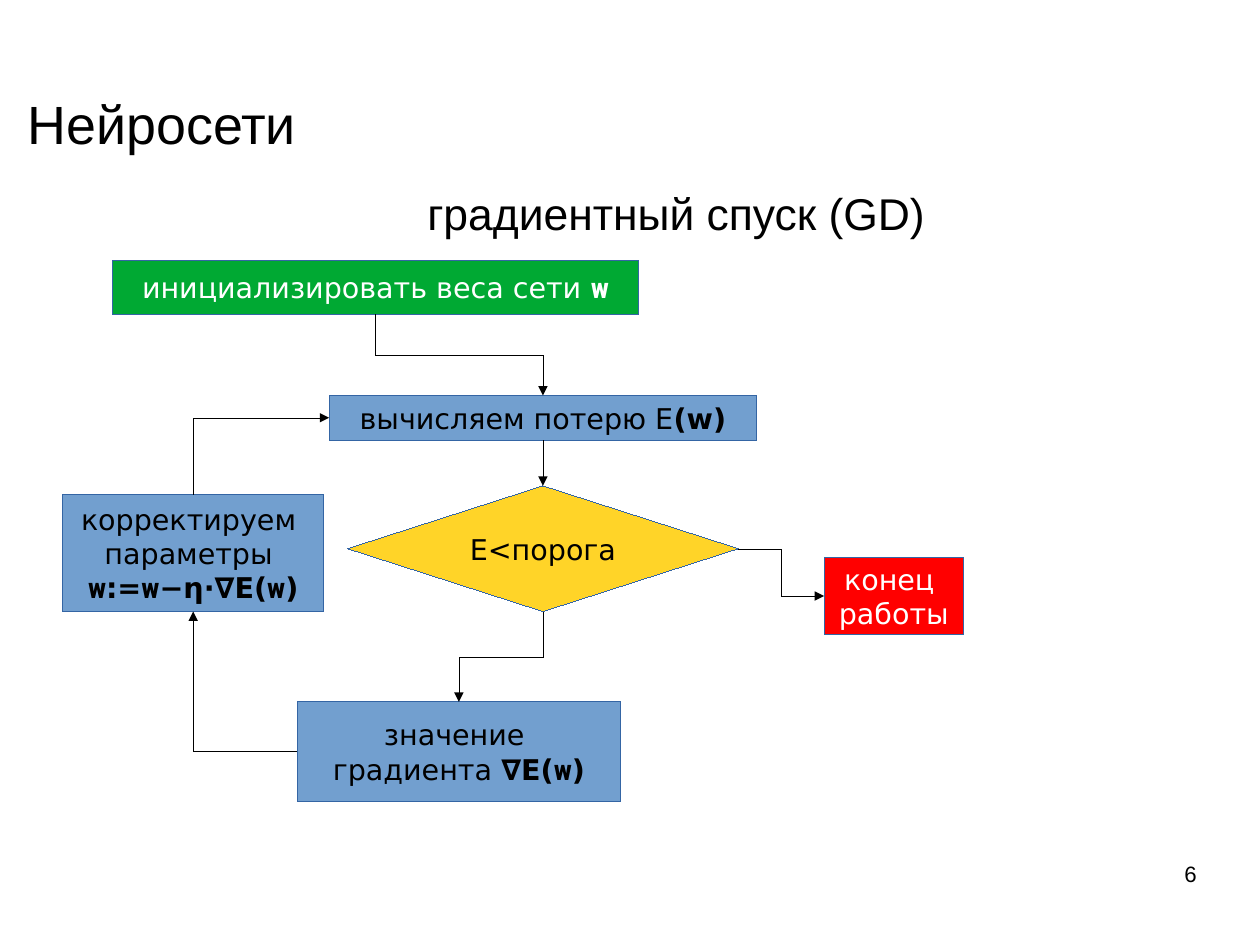
from dataclasses import dataclass

from lxml import etree
from pptx import Presentation
from pptx.dml.color import RGBColor
from pptx.enum.shapes import MSO_CONNECTOR, MSO_SHAPE
from pptx.enum.text import MSO_ANCHOR, PP_ALIGN
from pptx.oxml.ns import qn
from pptx.shapes.autoshape import Shape
from pptx.shapes.connector import Connector
from pptx.slide import Slide
from pptx.text.text import _Paragraph
from pptx.util import Inches, Pt

RECT, DIAMOND = MSO_SHAPE.RECTANGLE, MSO_SHAPE.DIAMOND
ELBOW, STRAIGHT = MSO_CONNECTOR.ELBOW, MSO_CONNECTOR.STRAIGHT
TOP_ANCHOR, MIDDLE = MSO_ANCHOR.TOP, MSO_ANCHOR.MIDDLE
LEFT_ALIGN, CENTER, RIGHT_ALIGN = PP_ALIGN.LEFT, PP_ALIGN.CENTER, PP_ALIGN.RIGHT
TOP, LEFT, BOTTOM, RIGHT = range(4)
TURN = {RIGHT: 0, BOTTOM: 90, LEFT: 180, TOP: 270}
CM_PER_INCH = 2.54
BLACK, WHITE, BLUE, OUTLINE = "000000", "FFFFFF", "729FCF", "3465A4"
BODY, NARROW, HEADING = "DejaVu Sans", "Roboto Condensed", "Arial"


@dataclass(frozen=True)
class Part:
    text: str
    bold: bool = False
    font: str = BODY


@dataclass(frozen=True)
class Step:
    left: float
    top: float
    width: float
    height: float
    fill: str
    lines: list[list[Part]]
    color: str = BLACK
    preset: MSO_SHAPE = RECT

    def side(self, site: int) -> tuple[float, float]:
        across = {LEFT: 0, RIGHT: 1}.get(site, 0.5)
        down = {TOP: 0, BOTTOM: 1}.get(site, 0.5)
        return self.left + across * self.width, self.top + down * self.height


@dataclass(frozen=True)
class Flow:
    source: str
    exit: int
    target: str
    entry: int


@dataclass(frozen=True)
class Label:
    left: float
    top: float
    width: float
    height: float
    text: str
    size: float
    align: PP_ALIGN = LEFT_ALIGN
    anchor: MSO_ANCHOR = TOP_ANCHOR
    inset_left: float = 0
    inset_top: float = 0


W = Part("w", True, NARROW)
CLOSE = Part(")", True)

STEPS = {
    "init": Step(0.98, 2.28, 4.61, 0.47, "00A933",
                 [[Part("инициализировать веса сети "), W]], WHITE),
    "loss": Step(2.88, 3.46, 3.74, 0.39, BLUE,
                 [[Part("вычисляем потерю E"), Part("(w)", True)]]),
    "check": Step(3.04, 4.25, 3.42, 1.1, "FFD428",
                  [[Part("E<порога")]], preset=DIAMOND),
    "finish": Step(7.21, 4.88, 1.22, 0.67, "FF0000",
                   [[Part("конец ")], [Part("работы")]], WHITE),
    "gradient": Step(2.6, 6.14, 2.83, 0.87, BLUE,
                     [[Part("значение ")],
                      [Part("градиента "), Part("∇E(", True), W, CLOSE]]),
    "update": Step(0.55, 4.33, 2.28, 1.02, BLUE,
                   [[Part("корректируем ")], [Part("параметры ")],
                    [W, Part(":=", True), W, Part("−η⋅∇E(", True), W, CLOSE]]),
}

FLOWS = [
    Flow("init", BOTTOM, "loss", TOP),
    Flow("loss", BOTTOM, "check", TOP),
    Flow("check", RIGHT, "finish", LEFT),
    Flow("check", BOTTOM, "gradient", TOP),
    Flow("gradient", LEFT, "update", BOTTOM),
    Flow("update", TOP, "loss", LEFT),
]

LABELS = [
    Label(0.24, 0.81, 9.69, 0.53, "Нейросети", 33.9, anchor=MIDDLE),
    Label(3.64, 1.5, 4.95, 0.63, "градиентный спуск (GD)", 28,
          inset_left=0.1, inset_top=0.13),
    Label(7.9, 7.53, 2.57, 0.57, "6", 14, RIGHT_ALIGN),
]


def rgb(value: str) -> RGBColor:
    return RGBColor.from_string(value)


def style(paragraph: _Paragraph, size: float, font: str, color: str, align: PP_ALIGN) -> None:
    paragraph.alignment = align
    paragraph.font.size = Pt(size)
    paragraph.font.name = font
    paragraph.font.color.rgb = rgb(color)


def set_hairline(item: Shape | Connector, color: str) -> None:
    item.line.color.rgb = rgb(color)
    item._element.spPr.find(qn("a:ln")).set("w", "0")


def draw_step(slide: Slide, step: Step) -> Shape:
    box = slide.shapes.add_shape(step.preset, Inches(step.left), Inches(step.top),
                                 Inches(step.width), Inches(step.height))
    box.shadow.inherit = False
    box.fill.solid()
    box.fill.fore_color.rgb = rgb(step.fill)
    set_hairline(box, OUTLINE)
    frame = box.text_frame
    frame.word_wrap = False
    frame.vertical_anchor = MIDDLE
    for index, parts in enumerate(step.lines):
        paragraph = frame.paragraphs[0] if index == 0 else frame.add_paragraph()
        style(paragraph, 18, BODY, step.color, CENTER)
        for part in parts:
            run = paragraph.add_run()
            run.text = part.text
            if part.bold:
                run.font.bold = True
            if part.font != BODY:
                run.font.name = part.font
    return box


def draw_elbow(slide: Slide, flow: Flow) -> Connector:
    x1, y1 = STEPS[flow.source].side(flow.exit)
    x2, y2 = STEPS[flow.target].side(flow.entry)
    dx, dy = x2 - x1, y2 - y1
    turn = TURN[flow.exit]
    along, aside = {0: (dx, dy), 90: (dy, -dx), 180: (-dx, -dy), 270: (-dy, dx)}[turn]
    middle_x, middle_y = (x1 + x2) / 2, (y1 + y2) / 2
    arrow = slide.shapes.add_connector(
        ELBOW, Inches(middle_x - along / 2), Inches(middle_y - aside / 2),
        Inches(middle_x + along / 2), Inches(middle_y + aside / 2))
    properties = arrow._element.spPr
    properties.find(qn("a:xfrm")).set("rot", str(turn * 60000))
    if flow.exit % 2 != flow.entry % 2:
        properties.find(qn("a:prstGeom")).set("prst", "bentConnector2")
    return arrow


def draw_flow(slide: Slide, flow: Flow, boxes: dict[str, Shape]) -> None:
    start = STEPS[flow.source].side(flow.exit)
    end = STEPS[flow.target].side(flow.entry)
    if abs(start[0] - end[0]) < 0.01:
        arrow = slide.shapes.add_connector(STRAIGHT, *map(Inches, start + end))
        arrow.begin_connect(boxes[flow.source], flow.exit)
        arrow.end_connect(boxes[flow.target], flow.entry)
    else:
        arrow = draw_elbow(slide, flow)
    set_hairline(arrow, BLACK)
    properties = arrow._element.spPr
    etree.SubElement(properties.find(qn("a:ln")), qn("a:tailEnd"), type="triangle")
    etree.SubElement(properties, qn("a:effectLst"))


def draw_label(slide: Slide, label: Label) -> None:
    frame = slide.shapes.add_textbox(Inches(label.left), Inches(label.top),
                                     Inches(label.width), Inches(label.height)).text_frame
    frame.word_wrap = True
    frame.vertical_anchor = label.anchor
    frame.margin_left = Inches(label.inset_left)
    frame.margin_top = Inches(label.inset_top)
    frame.margin_right = frame.margin_bottom = 0
    paragraph = frame.paragraphs[0]
    paragraph.text = label.text
    style(paragraph, label.size, HEADING, BLACK, label.align)


def main() -> None:
    deck = Presentation()
    deck.slide_width = Inches(28 / CM_PER_INCH)
    deck.slide_height = Inches(21 / CM_PER_INCH)
    slide = deck.slides.add_slide(deck.slide_layouts[6])
    boxes = {name: draw_step(slide, step) for name, step in STEPS.items()}
    for flow in FLOWS:
        draw_flow(slide, flow, boxes)
    for label in LABELS:
        draw_label(slide, label)
    deck.save("out.pptx")


if __name__ == "__main__":
    main()
